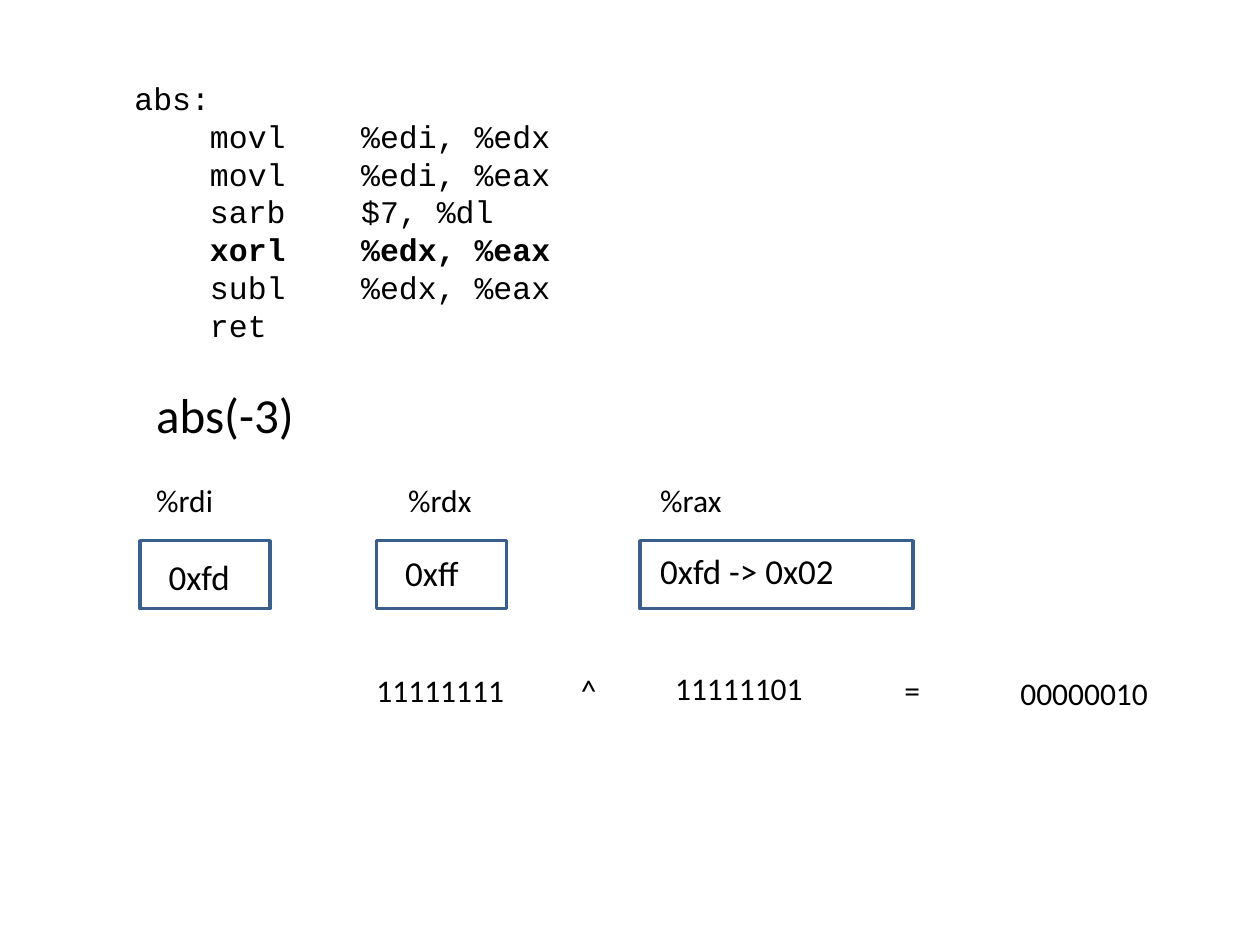
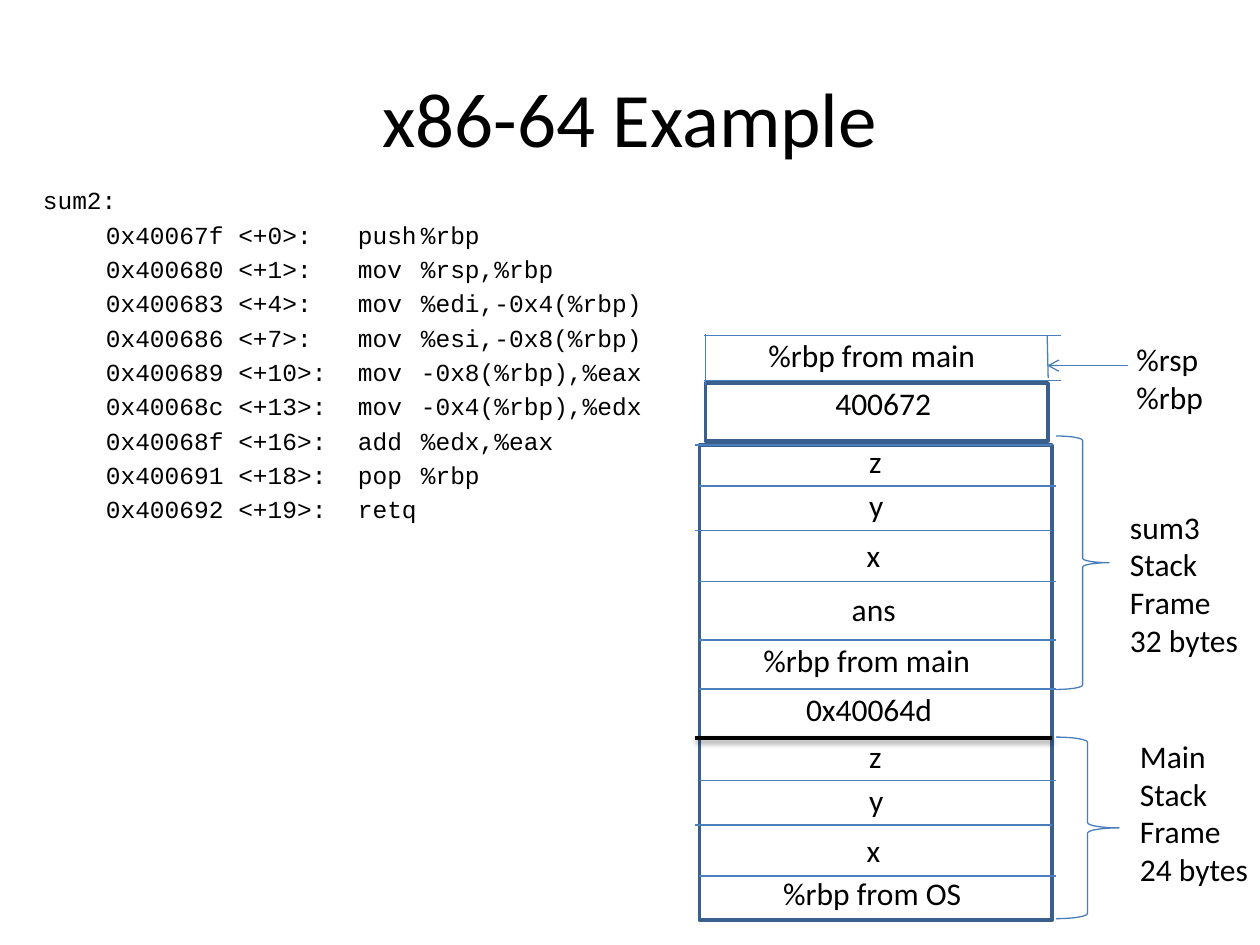
from dataclasses import dataclass

from lxml import etree
from pptx import Presentation
from pptx import util as u
from pptx.dml import color
from pptx.enum import shapes, text
from pptx.oxml import ns


@dataclass(frozen=True)
class Theme:
    ink: str = "000000"
    frame: str = "3A5F8C"
    rule: str = "4B7EBC"
    body_font: str = "Calibri"
    code_font: str = "Courier New"
    title_size: int = 44
    heading_size: int = 28
    value_size: int = 20
    text_size: int = 18
    code_size: int = 14
    thick: float = 2
    thin: float = 0.75


THEME = Theme()
ROW_WIDTH = 7.19
LABEL_HEIGHT = 1.02

ABS_CODE = [
    "abs:",
    "\tmovl\t%edi, %edx",
    "\tmovl\t%edi, %eax",
    "\tsarb\t$7, %dl",
    "\txorl\t%edx, %eax",
    "\tsubl\t%edx, %eax",
    "\tret",
]
CURRENT_LINE = 4

SUM2_CODE = [
    ("0x40067f <+0>:", "push", "%rbp"),
    ("0x400680 <+1>:", "mov", "%rsp,%rbp"),
    ("0x400683 <+4>:", "mov", "%edi,-0x4(%rbp)"),
    ("0x400686 <+7>:", "mov", "%esi,-0x8(%rbp)"),
    ("0x400689 <+10>:", "mov", "-0x8(%rbp),%eax"),
    ("0x40068c <+13>:", "mov", "-0x4(%rbp),%edx"),
    ("0x40068f <+16>:", "add", "%edx,%eax"),
    ("0x400691 <+18>:", "pop", "%rbp"),
    ("0x400692 <+19>:", "retq"),
]


def cm(*lengths):
    return [u.Cm(length) for length in lengths]


def rgb(value):
    return color.RGBColor.from_string(value)


def add_run(paragraph, content, size, font=THEME.body_font, bold=None):
    run = paragraph.add_run()
    run.text = content
    run.font.name = font
    run.font.size = u.Pt(size)
    run.font.bold = bold
    run.font.color.rgb = rgb(THEME.ink)


def add_lines(frame, lines, size, font=THEME.body_font, bold_index=None):
    for index, line in enumerate(lines):
        paragraph = frame.paragraphs[0] if index == 0 else frame.add_paragraph()
        add_run(paragraph, line, size, font, True if index == bold_index else None)


def set_tabs(paragraph, stops):
    tabs = etree.SubElement(paragraph._p.get_or_add_pPr(), ns.qn("a:tabLst"))
    for stop in stops:
        etree.SubElement(tabs, ns.qn("a:tab"), pos=str(u.Cm(stop)), algn="l")


def set_columns(frame, size, columns):
    character = u.Pt(size * 0.6).cm
    for paragraph in frame.paragraphs:
        set_tabs(paragraph, [character * column for column in columns])


def add_text(slide, box, lines, size=THEME.text_size, wrap=False, **style):
    frame = slide.shapes.add_textbox(*cm(*box)).text_frame
    frame.word_wrap = wrap
    frame.auto_size = text.MSO_AUTO_SIZE.SHAPE_TO_FIT_TEXT
    add_lines(frame, lines, size, **style)
    return frame


def add_outline(slide, kind, box, line_color, width):
    shape = slide.shapes.add_shape(kind, *cm(*box))
    shape.shadow.inherit = False
    shape.fill.background()
    shape.line.color.rgb = rgb(line_color)
    shape.line.width = u.Pt(width)


def add_frame(slide, box):
    add_outline(slide, shapes.MSO_SHAPE.RECTANGLE, box, THEME.frame, THEME.thick)


def add_brace(slide, box):
    add_outline(slide, shapes.MSO_SHAPE.RIGHT_BRACE, box, THEME.rule, THEME.thin)


def add_line(slide, start, end, line_color=THEME.rule, width=THEME.thin):
    connector = slide.shapes.add_connector(
        shapes.MSO_CONNECTOR.STRAIGHT, *cm(*start, *end))
    connector.line.color.rgb = rgb(line_color)
    connector.line.width = u.Pt(width)
    effects = etree.SubElement(connector.element.spPr, ns.qn("a:effectLst"))
    return connector, effects


def add_row_rule(slide, left, top, **style):
    return add_line(slide, (left, top), (left + ROW_WIDTH, top), **style)


def add_arrow(slide, start, end):
    connector, _ = add_line(slide, start, end)
    etree.SubElement(connector.line._get_or_add_ln(), ns.qn("a:tailEnd"), type="arrow")


def add_frame_boundary(slide, left, top):
    _, effects = add_row_rule(slide, left, top, line_color=THEME.ink, width=THEME.thick)
    shadow = etree.SubElement(
        effects, ns.qn("a:outerShdw"), blurRad=str(u.Pt(3.1)),
        dist=str(u.Pt(1.6)), dir="5400000", rotWithShape="0")
    shade = etree.SubElement(shadow, ns.qn("a:srgbClr"), val=THEME.ink)
    etree.SubElement(shade, ns.qn("a:alpha"), val="38000")


def add_label(slide, content, left, top, width):
    add_text(slide, (left, top, width, LABEL_HEIGHT), [content])


def add_local_variables(slide, top):
    for name, left, offset, width in (
            ("z", 17.27, 0, 0.76), ("y", 17.27, 0.89, 0.81), ("x", 17.22, 1.9, 0.79)):
        add_label(slide, name, left, top + offset, width)
    for left, offset in ((14.1, 1.01), (14.02, 1.9), (14.1, 2.93)):
        add_row_rule(slide, left, top + offset)


def build_abs_slide(presentation):
    slide = presentation.slides.add_slide(presentation.slide_layouts[6])
    code = add_text(slide, (2.46, 1.47, 8.94, 6.4), ABS_CODE,
                    font=THEME.code_font, bold_index=CURRENT_LINE)
    set_columns(code, THEME.text_size, (4, 12))

    call = add_text(slide, (2.9, 7.62, 12.01, 3), ["abs(-3)"], THEME.heading_size)
    registers = call.add_paragraph()
    registers.space_before = u.Pt(22)
    set_tabs(registers, (5.08, 10.16))
    add_run(registers, "%rdi\t%rdx\t%rax", THEME.text_size)

    for left, width in ((2.82, 2.62), (7.59, 2.62), (12.9, 5.51)):
        add_frame(slide, (left, 10.9, width, 1.37))
    for value, left, top, width in (
            ("0xfd", 3.15, 11.07, 1.93),
            ("0xff", 7.92, 11, 1.93),
            ("0xfd -> 0x02", 13.06, 10.95, 4.5)):
        add_text(slide, (left, top, width, 1.12), [value], THEME.value_size, wrap=True)

    for term, left, top, width in (
            ("11111111", 7.34, 13.41, 3.12),
            ("^", 11.46, 13.41, 0.84),
            ("11111101", 13.36, 13.36, 3.12),
            ("=", 17.98, 13.41, 0.84),
            ("00000010", 20.32, 13.46, 3.12)):
        add_label(slide, term, left, top, width)


def place(shape, box):
    shape.left, shape.top, shape.width, shape.height = cm(*box)


def add_listing(slide):
    body = slide.placeholders[1]
    place(body, (0.61, 3.61, 13.39, 13.74))
    frame = body.text_frame
    frame.auto_size = text.MSO_AUTO_SIZE.NONE
    lines = ["sum2:"] + ["\t" + "\t".join(parts) for parts in SUM2_CODE]
    add_lines(frame, lines, THEME.code_size, THEME.code_font)
    for paragraph in frame.paragraphs:
        properties = paragraph._p.get_or_add_pPr()
        properties.set("marL", "0")
        properties.set("indent", "0")
        etree.SubElement(properties, ns.qn("a:buNone"))
    set_columns(frame, THEME.code_size, (3, 20, 27))


def add_stack(slide):
    add_frame(slide, (14.1, 8.97, 7.11, 9.58))
    add_frame(slide, (14.22, 7.72, 6.91, 1.17))
    for top in (8.79, 14.73):
        add_local_variables(slide, top)
    for left, top in ((14.2, 6.76), (14.2, 7.67), (14.02, 8.97),
                      (14.1, 12.9), (14.1, 13.89)):
        add_row_rule(slide, left, top)
    add_frame_boundary(slide, 14.02, 14.88)
    add_line(slide, (14.22, 7.77), (14.22, 6.73))
    add_line(slide, (21.11, 6.76), (21.13, 7.62))
    for content, left, top, width in (
            ("%rbp from main", 15.24, 6.65, 4.72),
            ("400672", 16.59, 7.62, 2.46),
            ("ans", 16.92, 11.76, 1.4),
            ("%rbp from main", 15.14, 12.8, 4.72),
            ("0x40064d", 16, 13.79, 3.07),
            ("%rbp from OS", 15.54, 17.5, 4.14)):
        add_label(slide, content, left, top, width)


def add_stack_notes(slide):
    add_brace(slide, (21.29, 8.79, 1.07, 5.11))
    add_brace(slide, (21.29, 14.86, 1.27, 3.66))
    add_text(slide, (22.53, 10.11, 2.87, 3.33), ["sum3", "Stack", "Frame", "32 bytes "])
    add_text(slide, (22.73, 14.73, 2.72, 3.33), ["Main", "Stack", "Frame", "24 bytes"])
    add_text(slide, (22.66, 6.73, 1.88, 1.8), ["%rsp", "%rbp"])
    add_arrow(slide, (22.73, 7.37), (21.11, 7.37))


def build_stack_slide(presentation):
    slide = presentation.slides.add_slide(presentation.slide_layouts[1])
    title = slide.shapes.title
    place(title, (1.27, 0.76, 22.86, 3.18))
    add_lines(title.text_frame, ["x86-64 Example"], THEME.title_size)
    add_listing(slide)
    add_stack(slide)
    add_stack_notes(slide)


def main():
    presentation = Presentation()
    presentation.slide_width, presentation.slide_height = cm(25.4, 19.05)
    build_abs_slide(presentation)
    build_stack_slide(presentation)
    presentation.save("out.pptx")


main()
